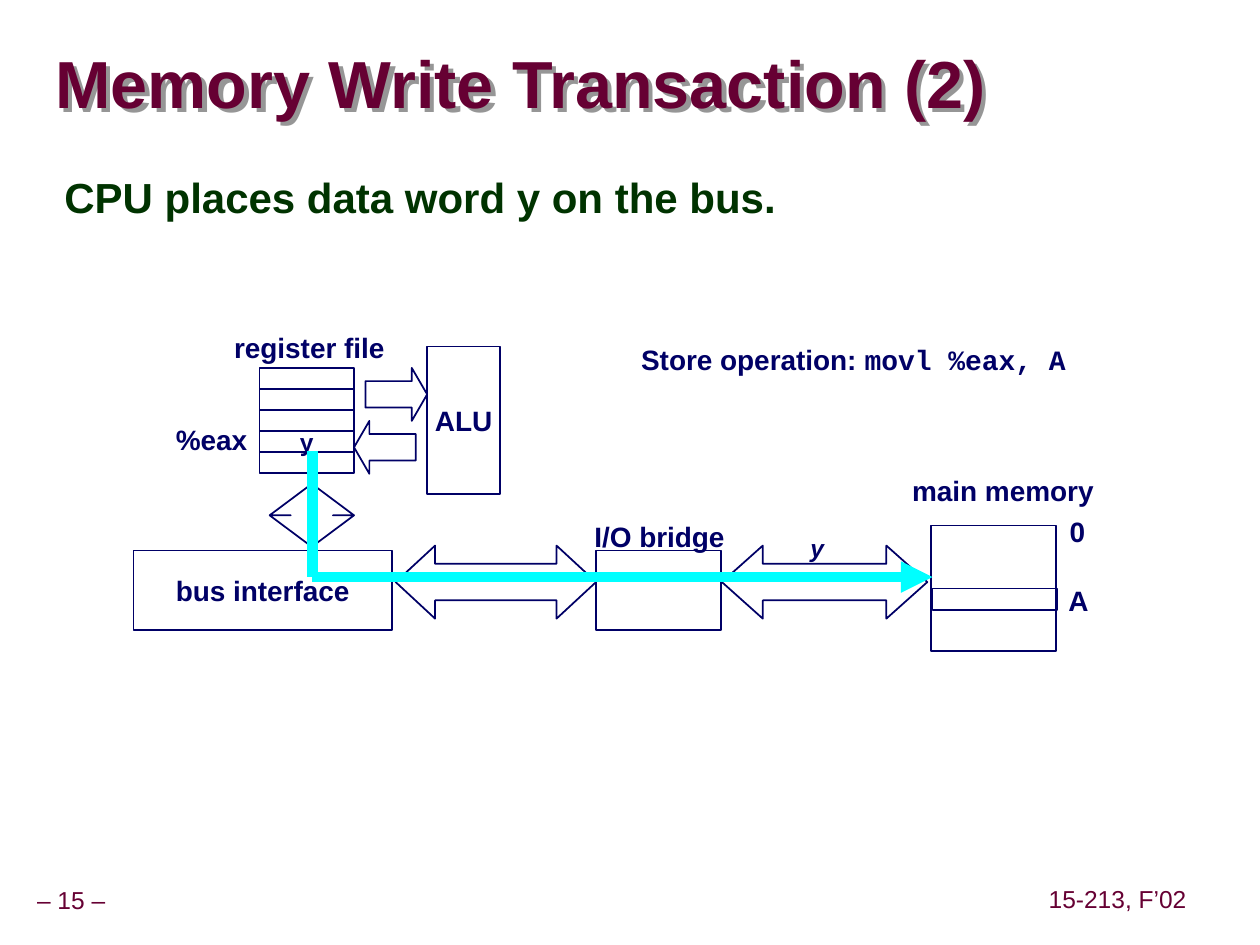
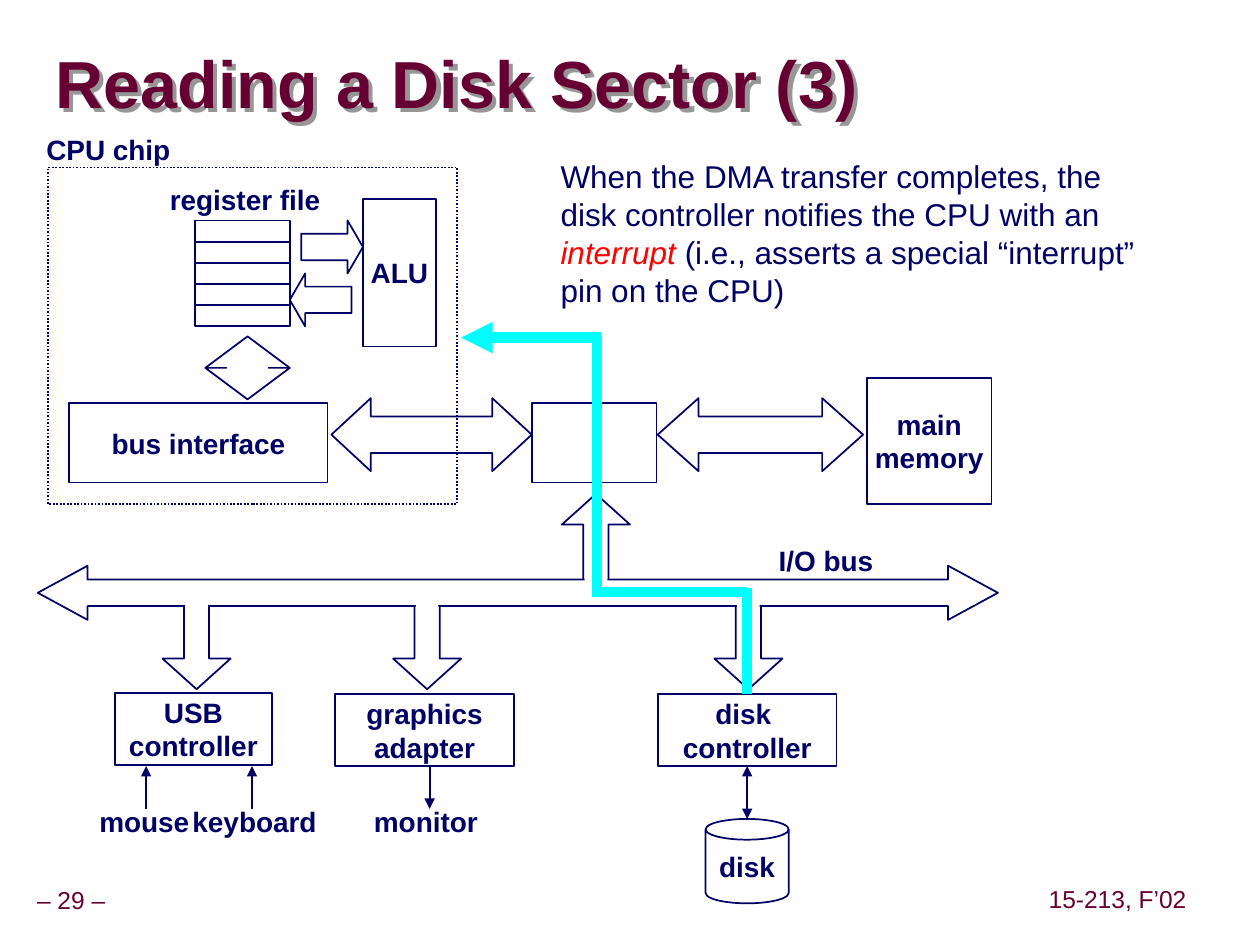
from dataclasses import dataclass

import lxml.etree
import pptx
import pptx.dml.color
import pptx.enum.dml
import pptx.enum.shapes
import pptx.enum.text
import pptx.oxml.ns
import pptx.presentation
import pptx.shapes.autoshape
import pptx.shapes.connector
import pptx.slide
import pptx.text.text
import pptx.util

Inches = pptx.util.Inches
Pt = pptx.util.Pt
RGBColor = pptx.dml.color.RGBColor
Shape = pptx.enum.shapes.MSO_SHAPE
Anchor = pptx.enum.text.MSO_ANCHOR
Align = pptx.enum.text.PP_ALIGN
AutoSize = pptx.enum.text.MSO_AUTO_SIZE
qn = pptx.oxml.ns.qn

NAVY = RGBColor(0x00, 0x00, 0x66)
MAROON = RGBColor(0x66, 0x00, 0x33)
GREEN = RGBColor(0x00, 0x33, 0x00)
CYAN = RGBColor(0x00, 0xFF, 0xFF)
RED = RGBColor(0xFF, 0x00, 0x00)
WHITE = RGBColor(0xFF, 0xFF, 0xFF)
SHADOW_GRAY = RGBColor(0x96, 0x96, 0x96)

TITLE_ONLY = 5
TITLE_AND_BODY = 1


@dataclass(frozen=True)
class Span:
    text: str
    size: int = 16
    color: RGBColor = NAVY
    bold: bool = True
    italic: bool = False
    font: str = "Arial"


@dataclass(frozen=True)
class Box:
    left: float
    top: float
    width: float
    height: float
    lines: tuple[str, ...] = ()
    kind: Shape = Shape.RECTANGLE
    adjustments: tuple[float, ...] = ()
    fill: RGBColor | None = None
    outline: RGBColor | None = NAVY
    size: int = 16


@dataclass(frozen=True)
class Label:
    left: float
    top: float
    width: float
    spans: tuple[Span, ...]
    height: float = 0.37
    align: Align = Align.CENTER
    anchor: Anchor = Anchor.MIDDLE
    wrap: bool = False
    inset: float = 0.1
    spacing: float = 1.0


@dataclass(frozen=True)
class Wire:
    start: tuple[float, float]
    end: tuple[float, float]
    color: RGBColor = NAVY
    width: int = 1
    head: bool = False
    tail: bool = False


def add_spans(para: pptx.text.text._Paragraph, spans: tuple[Span, ...]) -> None:
    for span in spans:
        run = para.add_run()
        run.text = span.text
        run.font.name = span.font
        run.font.size = Pt(span.size)
        run.font.bold = span.bold
        run.font.italic = span.italic
        run.font.color.rgb = span.color


def set_frame(frame: pptx.text.text.TextFrame, anchor: Anchor, wrap: bool,
              side: float, vertical: float) -> None:
    frame.auto_size = AutoSize.NONE
    frame.vertical_anchor = anchor
    frame.word_wrap = wrap
    frame.margin_left = frame.margin_right = Inches(side)
    frame.margin_top = frame.margin_bottom = Inches(vertical)


def add_box(page: pptx.slide.Slide, box: Box) -> pptx.shapes.autoshape.Shape:
    shape = page.shapes.add_shape(box.kind, Inches(box.left), Inches(box.top),
                                  Inches(box.width), Inches(box.height))
    shape.shadow.inherit = False
    for index, value in enumerate(box.adjustments):
        shape.adjustments[index] = value
    if box.fill is None:
        shape.fill.background()
    else:
        shape.fill.solid()
        shape.fill.fore_color.rgb = box.fill
    if box.outline is None:
        shape.line.fill.background()
    else:
        shape.line.color.rgb = box.outline
        shape.line.width = Pt(1)
    frame = shape.text_frame
    set_frame(frame, Anchor.MIDDLE, False, 0.1, 0.05)
    for index, line in enumerate(box.lines):
        para = frame.add_paragraph() if index else frame.paragraphs[0]
        para.alignment = Align.CENTER
        add_spans(para, (Span(line, box.size),))
    return shape


def add_label(page: pptx.slide.Slide, label: Label) -> None:
    shape = page.shapes.add_textbox(Inches(label.left), Inches(label.top),
                                    Inches(label.width), Inches(label.height))
    frame = shape.text_frame
    set_frame(frame, label.anchor, label.wrap, label.inset, 0.05)
    para = frame.paragraphs[0]
    para.alignment = label.align
    para.line_spacing = label.spacing
    add_spans(para, label.spans)


def add_wire(page: pptx.slide.Slide, wire: Wire) -> pptx.shapes.connector.Connector:
    connector = page.shapes.add_connector(
        pptx.enum.shapes.MSO_CONNECTOR.STRAIGHT,
        *(Inches(value) for value in wire.start + wire.end))
    connector.line.color.rgb = wire.color
    connector.line.width = Pt(wire.width)
    properties = connector.element.spPr
    line = properties.find(qn("a:ln"))
    for shown, tag in ((wire.head, "a:headEnd"), (wire.tail, "a:tailEnd")):
        if shown:
            lxml.etree.SubElement(line, qn(tag), type="triangle")
    lxml.etree.SubElement(properties, qn("a:effectLst"))
    return connector


def add_title_shadow(heading: pptx.shapes.autoshape.Shape) -> None:
    heading.fill.background()
    effects = lxml.etree.SubElement(heading.element.spPr, qn("a:effectLst"))
    shadow = lxml.etree.SubElement(effects, qn("a:outerShdw"),
                                   dist=str(Inches(0.05)), dir="2700000",
                                   algn="ctr", rotWithShape="0")
    lxml.etree.SubElement(shadow, qn("a:srgbClr"), val=str(SHADOW_GRAY))


def add_page(deck: pptx.presentation.Presentation, layout: int, title: str,
             number: int) -> pptx.slide.Slide:
    page = deck.slides.add_slide(deck.slide_layouts[layout])
    heading = page.shapes.title
    heading.left, heading.top = Inches(0.44), Inches(0.27)
    heading.width, heading.height = Inches(9.53), Inches(0.85)
    add_title_shadow(heading)
    frame = heading.text_frame
    set_frame(frame, Anchor.MIDDLE, True, 0, 0)
    para = frame.paragraphs[0]
    para.alignment = Align.LEFT
    para.line_spacing = 0.87
    add_spans(para, (Span(title, 38, MAROON),))
    for left, top, width, text in ((-0.09, 7, 1.31, f"– {number} –"),
                                   (8.27, 6.99, 1.2, "15-213, F’02")):
        add_label(page, Label(left, top, width, (Span(text, 14, MAROON, False),),
                              height=0.31, inset=0.05, spacing=0.9))
    return page


def add_body(page: pptx.slide.Slide, text: str) -> None:
    body = page.placeholders[1]
    body.left, body.top = Inches(0.32), Inches(1.34)
    body.width, body.height = Inches(9.09), Inches(5.71)
    frame = body.text_frame
    set_frame(frame, Anchor.TOP, True, 0.1, 0.05)
    para = frame.paragraphs[0]
    properties = para._p.get_or_add_pPr()
    properties.set("marL", str(Inches(0.09)))
    properties.set("indent", "0")
    lxml.etree.SubElement(properties, qn("a:buNone"))
    para.line_spacing = 0.95
    para.space_before = Pt(0)
    add_spans(para, (Span(text, 24, GREEN),))


def add_computer(page: pptx.slide.Slide, left: float, top: float,
                 memory: tuple[str, ...] = (), eax: tuple[str, ...] = ()) -> None:
    two_way = Shape.LEFT_RIGHT_ARROW
    eax_row = 3
    for row in range(5):
        add_box(page, Box(left, top + row / 6, 0.75, 0.17,
                          eax if row == eax_row else (), size=14))
    parts = (
        Box(5.33, 1.25, 0.99, 1, memory),
        Box(3.67, 1.41, 1.63, 0.58, kind=two_way, adjustments=(0.5, 0.56)),
        Box(2.67, 1.45, 0.99, 0.63),
        Box(1.08, 1.41, 1.59, 0.58, kind=two_way, adjustments=(0.5, 0.54)),
        Box(0.84, 0, 0.49, 0.42, kind=Shape.RIGHT_ARROW, adjustments=(0.5, 0.29)),
        Box(0.75, 0.42, 0.49, 0.42, kind=Shape.LEFT_ARROW, adjustments=(0.5, 0.29)),
        Box(1.33, -0.17, 0.58, 1.17, ("ALU",)),
        Box(0.08, 0.92, 0.67, 0.5, kind=Shape.UP_DOWN_ARROW, adjustments=(0.2, 0.5)),
        Box(-1, 1.45, 2.05, 0.63, ("bus interface",)),
    )
    for part in parts:
        add_box(page, Box(left + part.left, top + part.top, part.width, part.height,
                          part.lines, part.kind, part.adjustments))
    add_label(page, Label(left - 0.3, top - 0.35, 1.39, (Span("register file"),)))


def build_memory_write(deck: pptx.presentation.Presentation) -> None:
    page = add_page(deck, TITLE_AND_BODY, "Memory Write Transaction (2)", 15)
    add_body(page, "CPU places data word y on the bus.")
    add_computer(page, 2.06, 2.92, eax=("y",))
    corner = (2.48, 4.58)
    add_wire(page, Wire((2.48, 3.58), corner, CYAN, 6))
    add_wire(page, Wire(corner, (7.4, 4.58), CYAN, 6, tail=True))
    add_box(page, Box(7.4, 4.67, 0.99, 0.17))
    add_label(page, Label(6.33, 4.18, 0.31, (Span("y", 14, italic=True),), height=0.34))
    for left, top, width, text in ((7.14, 3.71, 1.64, "main memory"),
                                   (8.39, 4.03, 0.32, "0"),
                                   (8.38, 4.58, 0.36, "A"),
                                   (1.3, 3.3, 0.76, "%eax"),
                                   (4.62, 4.07, 1.23, "I/O bridge")):
        add_label(page, Label(left, top, width, (Span(text),)))
    operation = (Span("Store operation: "), Span("movl %eax, A", font="Courier New"))
    add_label(page, Label(4.99, 2.67, 3.76, operation, 0.64, Align.LEFT, Anchor.TOP, True))


def build_disk_read(deck: pptx.presentation.Presentation) -> None:
    page = add_page(deck, TITLE_ONLY, "Reading a Disk Sector (3)", 29)
    add_computer(page, 1.55, 1.75, memory=("main", "memory"))
    chip = add_box(page, Box(0.38, 1.33, 3.25, 2.67))
    chip.line.dash_style = pptx.enum.dml.MSO_LINE.ROUND_DOT

    branch_width, patch_size = 0.54, 0.17
    branches = ((4.73, 3.92, Shape.UP_ARROW, 4.58),
                (1.56, 4.72, Shape.DOWN_ARROW, 4.66),
                (3.39, 4.72, Shape.DOWN_ARROW, 4.66),
                (5.94, 4.72, Shape.DOWN_ARROW, 4.66))
    for center, top, kind, _ in branches:
        add_box(page, Box(center - branch_width / 2, top, branch_width, 0.75,
                          kind=kind, adjustments=(0.37, 0.45)))
    add_box(page, Box(0.3, 4.49, 7.62, 0.43, kind=Shape.LEFT_RIGHT_ARROW,
                      adjustments=(0.49, 0.92), fill=WHITE))
    for center, _, _, patch_top in branches:
        add_box(page, Box(center - 0.09, patch_top, 0.18, patch_size,
                          fill=WHITE, outline=None))

    add_box(page, Box(0.91, 5.5, 1.25, 0.57, ("USB", "controller")))
    add_box(page, Box(2.66, 5.51, 1.42, 0.57, ("graphics", "adapter")))
    controller = add_box(page, Box(5.22, 5.51, 1.42, 0.57, ("disk ", "controller")))
    add_box(page, Box(5.6, 6.5, 0.66, 0.67, ("disk",), Shape.CAN, (0.25,)))
    for x in (1.16, 2):
        add_wire(page, Wire((x, 6.08), (x, 6.42), head=True))
    add_wire(page, Wire((3.41, 6.08), (3.41, 6.42), tail=True))
    disk_link = add_wire(page, Wire((5.93, 6.08), (5.93, 6.5), head=True, tail=True))
    disk_link.begin_connect(controller, 2)

    for left, top, width, text in ((0.27, 1, 1.18, "CPU chip"),
                                   (0.69, 6.33, 0.91, "mouse"),
                                   (1.43, 6.33, 1.18, "keyboard"),
                                   (2.87, 6.33, 1.02, "monitor"),
                                   (6.08, 4.26, 0.95, "I/O bus")):
        add_label(page, Label(left, top, width, (Span(text),)))

    add_wire(page, Wire((4.77, 2.68), (3.66, 2.68), CYAN, 6, tail=True))
    add_wire(page, Wire((4.74, 2.67), (4.74, 4.67), CYAN, 6))
    add_wire(page, Wire((4.7, 4.7), (5.93, 4.7), CYAN, 6))
    interrupt_source = add_wire(page, Wire((5.93, 4.67), (5.93, 5.51), CYAN, 6))
    interrupt_source.end_connect(controller, 0)

    explanation = (
        Span("When the DMA transfer completes, the disk controller notifies the CPU with an ",
             18, bold=False),
        Span("interrupt", 18, RED, False, True),
        Span(" (i.e., asserts a special “interrupt” pin on the CPU)", 18, bold=False),
    )
    add_label(page, Label(4.35, 1.2, 4.81, explanation, 1.3, Align.LEFT, Anchor.TOP, True))


def main() -> None:
    deck = pptx.Presentation()
    deck.slide_width, deck.slide_height = Inches(10), Inches(7.5)
    build_memory_write(deck)
    build_disk_read(deck)
    deck.save("out.pptx")


if __name__ == "__main__":
    main()
